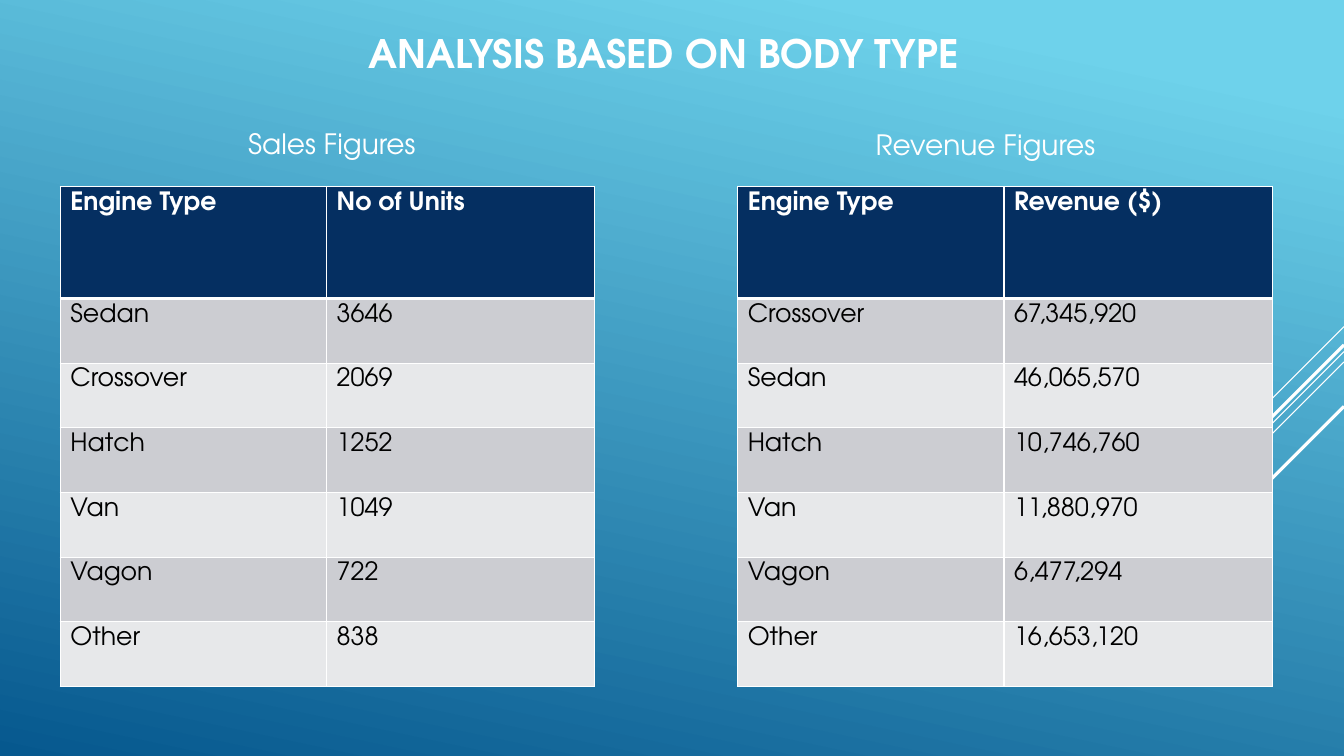
from lxml import etree
from pptx import Presentation
from pptx import util as u
from pptx.dml import color
from pptx.enum import shapes, text
from pptx.oxml import ns

FONT = "TeX Gyre Adventor"
WHITE = "FFFFFF"


def rgb(value):
    return color.RGBColor.from_string(value)


def style_text(frame, size, font_color, bold=False):
    for paragraph in frame.paragraphs:
        for run in paragraph.runs:
            run.font.name = FONT
            run.font.size = u.Pt(size)
            run.font.bold = bold
            run.font.color.rgb = rgb(font_color)


presentation = Presentation()
presentation.slide_width = u.Cm(33.87)
presentation.slide_height = u.Cm(19.05)
slide = presentation.slides.add_slide(presentation.slide_layouts[6])

background = slide.background.fill
background.gradient()
background.gradient_angle = 258
for stop, position, stop_color in zip(background.gradient_stops, (0.1, 1), ("6ED2EB", "06588E")):
    stop.position = position
    stop.color.rgb = rgb(stop_color)

diagonals = [
    (8.23, 2.54, 0.75),
    (8.86, 8.28, 0.75),
    (9.12, 5.27, 0.75),
    (8.69, 4.85, 2.25),
    (10.24, 3.53, 2.25),
]
for top, reach, width in diagonals:
    line = slide.shapes.add_connector(
        shapes.MSO_CONNECTOR.STRAIGHT,
        u.Cm(33.87), u.Cm(top), u.Cm(33.87 - reach), u.Cm(top + reach))
    line.line.color.rgb = rgb(WHITE)
    line.line.width = u.Pt(width)
    etree.SubElement(line._element.spPr, ns.qn("a:effectLst"))

CENTER, LEFT = text.PP_ALIGN.CENTER, text.PP_ALIGN.LEFT
headings = [
    ("ANALYSIS BASED ON BODY TYPE", 7.5, 0.67, 18.44, 28, True, CENTER, 1),
    ("Sales Figures", 4.43, 3.02, 7.87, 20, False, CENTER, 0.9),
    ("Revenue Figures", 21.82, 3.05, 8.89, 20, False, LEFT, 0.9),
]
for words, left, top, width, size, bold, alignment, spacing in headings:
    box = slide.shapes.add_textbox(u.Cm(left), u.Cm(top), u.Cm(width), u.Cm(1.3))
    frame = box.text_frame
    frame.word_wrap = True
    frame.vertical_anchor = text.MSO_ANCHOR.MIDDLE
    frame.text = words
    frame.paragraphs[0].alignment = alignment
    frame.paragraphs[0].line_spacing = spacing
    style_text(frame, size, WHITE, bold)

sales = [
    ("Engine Type", "No of Units"),
    ("Sedan", "3646"),
    ("Crossover", "2069"),
    ("Hatch", "1252"),
    ("Van", "1049"),
    ("Vagon", "722"),
    ("Other", "838"),
]
revenue = [
    ("Engine Type", "Revenue ($)"),
    ("Crossover", "67,345,920"),
    ("Sedan", "46,065,570"),
    ("Hatch", "10,746,760"),
    ("Van", "11,880,970"),
    ("Vagon", "6,477,294"),
    ("Other", "16,653,120"),
]
for left, rows in ((1.52, sales), (18.59, revenue)):
    table = slide.shapes.add_table(
        len(rows), 2, u.Cm(left), u.Cm(4.7), u.Cm(13.47), u.Cm(12.6)).table
    table.columns[0].width = u.Cm(6.71)
    table.columns[1].width = u.Cm(6.76)
    for row_index, row in enumerate(rows):
        header = row_index == 0
        table.rows[row_index].height = u.Cm(2.82 if header else 1.63)
        fill = "052F61" if header else ("E7E8EA", "CCCDD2")[row_index % 2]
        for column_index, words in enumerate(row):
            cell = table.cell(row_index, column_index)
            cell.text = words
            style_text(cell.text_frame, 18, WHITE if header else "000000", header)
            properties = cell._tc.get_or_add_tcPr()
            for side in "LRTB":
                thick = (row_index, side) in ((0, "B"), (1, "T"))
                border = etree.SubElement(
                    properties, ns.qn("a:ln" + side), w=str(u.Pt(3 if thick else 1)))
                solid = etree.SubElement(border, ns.qn("a:solidFill"))
                etree.SubElement(solid, ns.qn("a:srgbClr"), val=WHITE)
            cell.fill.solid()
            cell.fill.fore_color.rgb = rgb(fill)

presentation.save("out.pptx")
